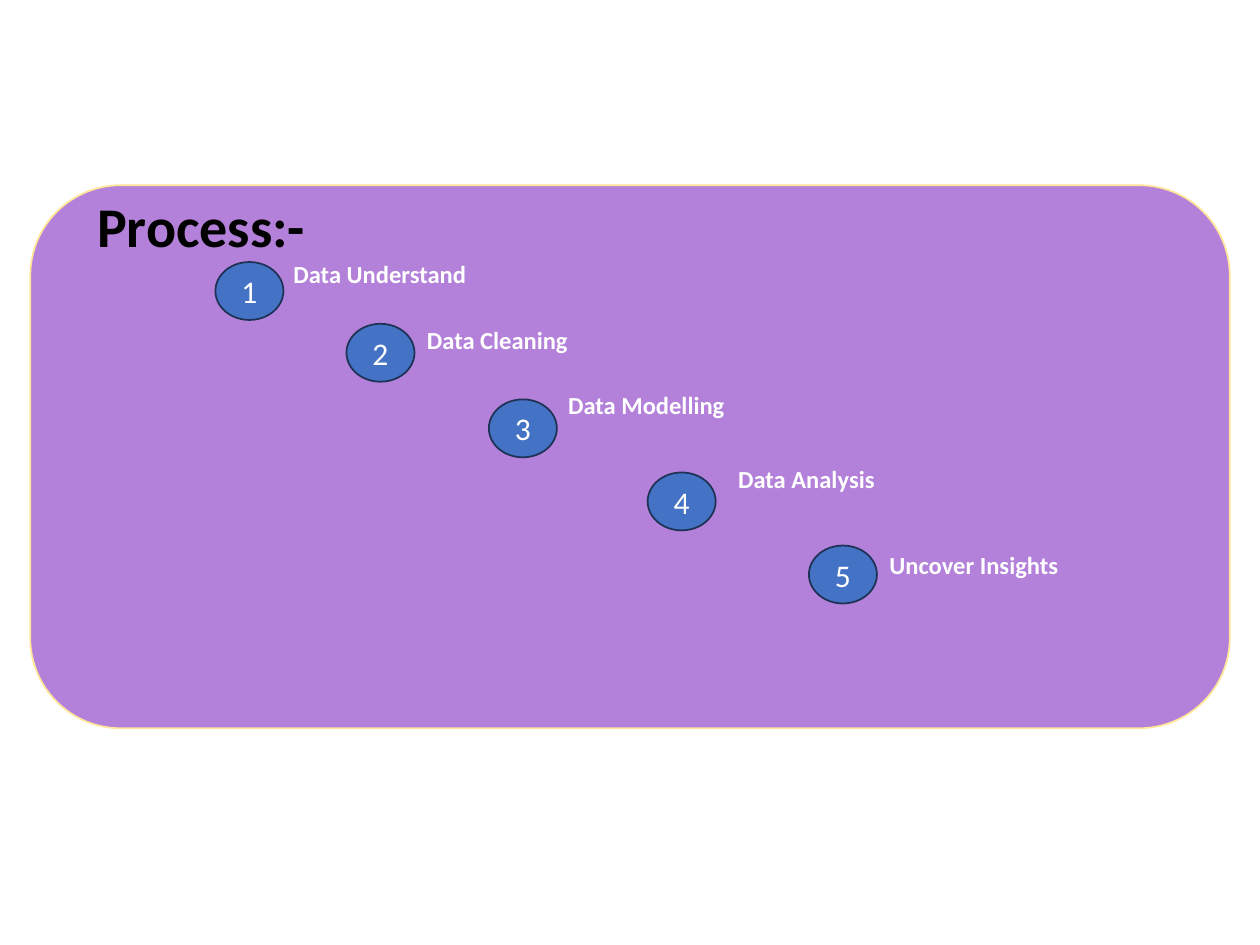
from dataclasses import dataclass
from pptx import Presentation
from pptx.dml.color import RGBColor
from pptx.enum.shapes import MSO_SHAPE
from pptx.enum.text import MSO_ANCHOR, MSO_AUTO_SIZE, PP_ALIGN
from pptx.util import Inches, Pt

ROUNDED, OVAL = MSO_SHAPE.ROUNDED_RECTANGLE, MSO_SHAPE.OVAL
TOP, MIDDLE = MSO_ANCHOR.TOP, MSO_ANCHOR.MIDDLE
LEFT, CENTER = PP_ALIGN.LEFT, PP_ALIGN.CENTER
FIT_SHAPE = MSO_AUTO_SIZE.SHAPE_TO_FIT_TEXT
TITLE_ONLY = 5

HEADING = "Process:-"
HEADING_BOX = (0.67, 1.47, 1.87, 0.64)
PANEL_BOX = (0.24, 1.47, 9.52, 4.31)
BADGE_SIZE = (0.54, 0.46)
LABEL_HEIGHT = 0.34
STEPS = [
    ("Data Understand", (1.71, 2.08), (2.23, 2.01), 1.58),
    ("Data Cleaning", (2.75, 2.57), (3.29, 2.53), 1.33),
    ("Data Modelling", (3.88, 3.17), (4.41, 3.05), 1.45),
    ("Data Analysis", (5.14, 3.75), (5.76, 3.63), 1.3),
    ("Uncover Insights", (6.42, 4.33), (6.96, 4.32), 1.55),
]


@dataclass(frozen=True)
class Theme:
    font: str = "Calibri"
    heading_size: int = 32
    badge_size: int = 18
    label_size: int = 14
    dark: str = "000000"
    light: str = "FFFFFF"
    panel: str = "B381D9"
    panel_line: str = "FFE699"
    badge: str = "4472C4"
    badge_line: str = "1E3256"


THEME = Theme()


def inches(box):
    return [Inches(value) for value in box]


def add_outlined(slide, kind, box, fill, line):
    shape = slide.shapes.add_shape(kind, *inches(box))
    shape.shadow.inherit = False
    shape.fill.solid()
    shape.fill.fore_color.rgb = RGBColor.from_string(fill)
    shape.line.color.rgb = RGBColor.from_string(line)
    shape.line.width = Pt(1)
    return shape


def write(shape, text, size, color, bold=False, align=LEFT, anchor=TOP):
    frame = shape.text_frame
    frame.text = text
    frame.vertical_anchor = anchor
    paragraph = frame.paragraphs[0]
    paragraph.alignment = align
    font = paragraph.runs[0].font
    font.name, font.size, font.bold = THEME.font, Pt(size), bold
    font.color.rgb = RGBColor.from_string(color)


def fit_to_text(shape):
    shape.text_frame.word_wrap = False
    shape.text_frame.auto_size = FIT_SHAPE


def add_heading(slide):
    heading = slide.shapes.title
    heading.left, heading.top, heading.width, heading.height = inches(HEADING_BOX)
    write(heading, HEADING, THEME.heading_size, THEME.dark, bold=True)
    fit_to_text(heading)
    return heading


def add_step(slide, number, name, badge_at, label_at, label_width):
    badge = add_outlined(slide, OVAL, badge_at + BADGE_SIZE, THEME.badge, THEME.badge_line)
    write(badge, str(number), THEME.badge_size, THEME.light, align=CENTER, anchor=MIDDLE)
    label = slide.shapes.add_textbox(*inches(label_at + (label_width, LABEL_HEIGHT)))
    write(label, name, THEME.label_size, THEME.light, bold=True)
    fit_to_text(label)


def main():
    deck = Presentation()
    deck.slide_width, deck.slide_height = Inches(10), Inches(7.5)
    slide = deck.slides.add_slide(deck.slide_layouts[TITLE_ONLY])
    heading = add_heading(slide)
    panel = add_outlined(slide, ROUNDED, PANEL_BOX, THEME.panel, THEME.panel_line)
    heading.element.addprevious(panel.element)
    for number, step in enumerate(STEPS, 1):
        add_step(slide, number, *step)
    deck.save("out.pptx")


if __name__ == "__main__":
    main()
